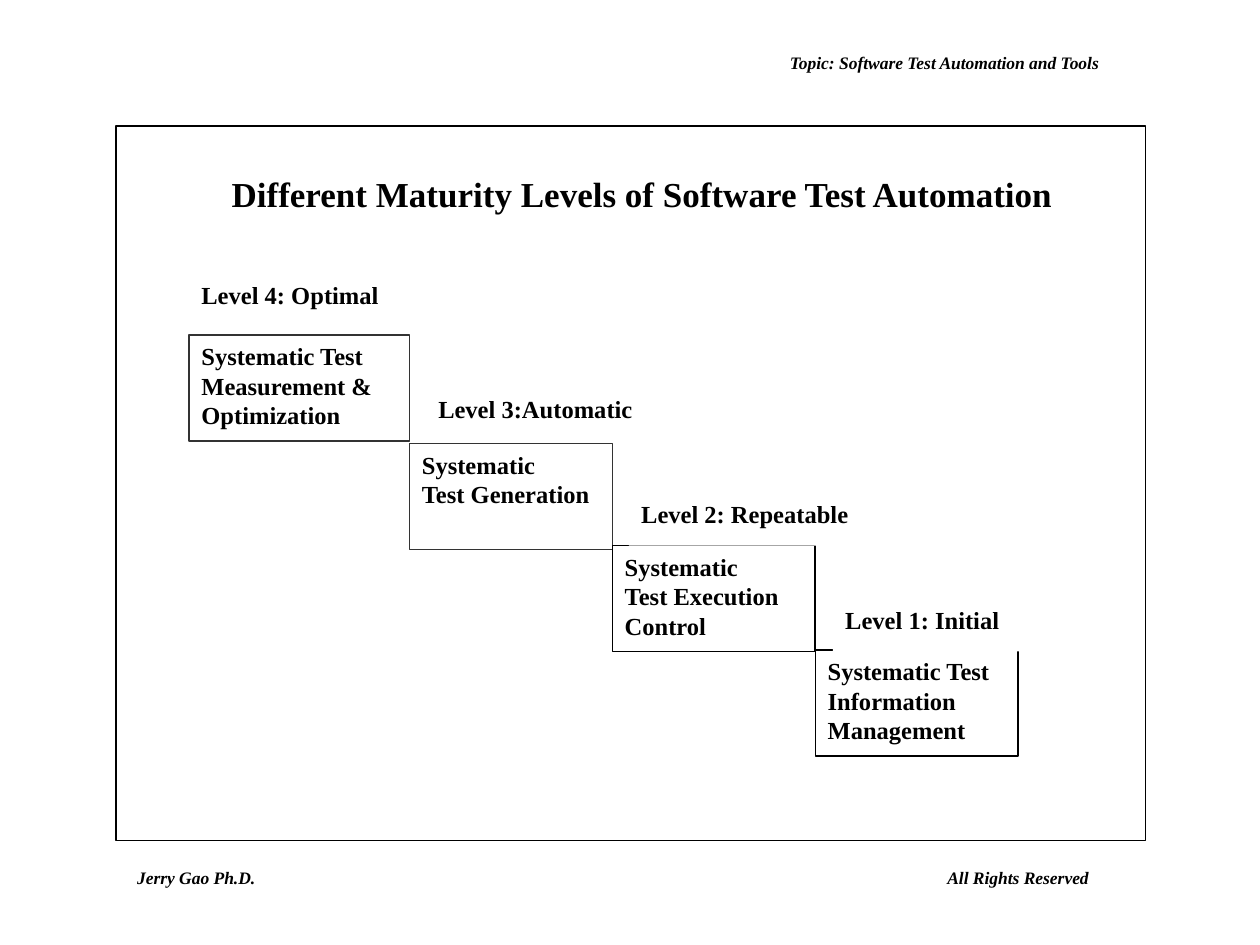
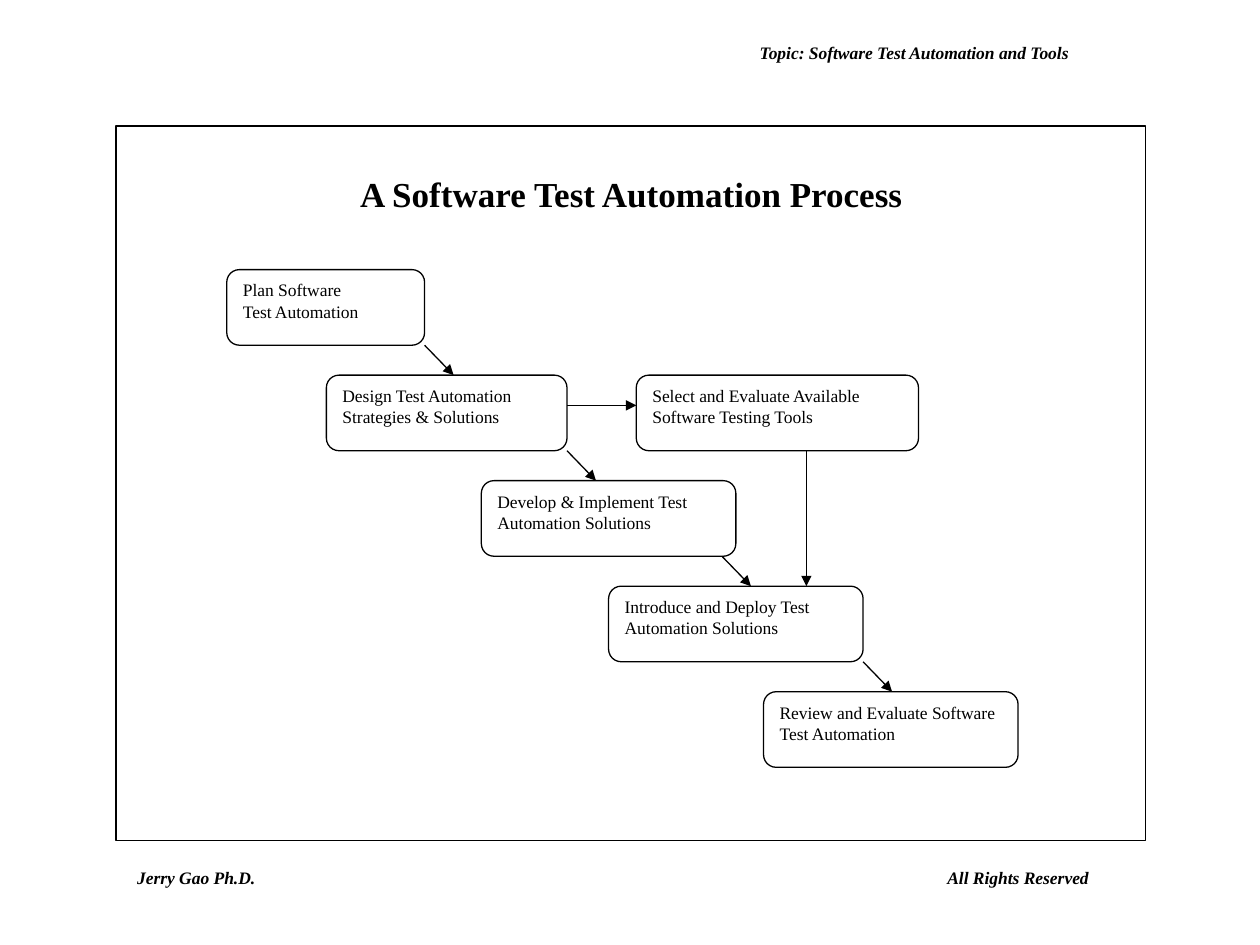
from dataclasses import dataclass

from lxml import etree
from pptx import Presentation
from pptx.dml.color import RGBColor
from pptx.enum.shapes import MSO_CONNECTOR, MSO_SHAPE
from pptx.enum.text import MSO_ANCHOR, MSO_AUTO_SIZE, PP_ALIGN
from pptx.oxml.ns import qn
from pptx.util import Inches, Pt

RECTANGLE = MSO_SHAPE.RECTANGLE
ROUNDED_STEP = MSO_SHAPE.FLOWCHART_ALTERNATE_PROCESS
STRAIGHT = MSO_CONNECTOR.STRAIGHT
TOP, MIDDLE = MSO_ANCHOR.TOP, MSO_ANCHOR.MIDDLE
LEFT, CENTER = PP_ALIGN.LEFT, PP_ALIGN.CENTER
FIT_SHAPE = MSO_AUTO_SIZE.SHAPE_TO_FIT_TEXT


@dataclass(frozen=True)
class Theme:
    """Colours, font and type sizes of the deck."""
    black: str = "000000"
    gray: str = "333333"
    white: str = "FFFFFF"
    font: str = "Times New Roman"
    title: int = 20
    level: int = 14
    small: int = 10
    line: float = 0.75


THEME = Theme()

TOPIC = "Topic: Software Test Automation and Tools"
# text, left, width
FOOTERS = [("Jerry Gao Ph.D.", 0.99, 1.14), ("All Rights Reserved", 7.42, 1.32)]
FOOTER_TOP = 6.83
FRAME = (0.92, 1, 8.17, 5.67)

MATURITY_TITLE = "Different Maturity Levels of Software Test Automation"
# label, label left offset, top and width; box text, top, width, outline
LEVELS = [
    ("Level 4: Optimal", 0, 2.17, 1.88,
     ["Systematic Test Measurement & Optimization"], 2.66, 1.75, THEME.gray),
    ("Level 3:Automatic", 0.13, 3.08, 1.75,
     ["Systematic", "Test Generation"], 3.52, 1.61, THEME.gray),
    ("Level 2: Repeatable", 0.13, 3.91, 1.88,
     ["Systematic", "Test Execution", "Control"], 4.33, 1.61, THEME.black),
    ("Level 1: Initial", 0.14, 4.75, 1.48,
     ["Systematic Test Information", "Management"], 5.16, 1.61, THEME.black),
]
STAIR_LEFT, LEVEL_HEIGHT, LABEL_HEIGHT = 1.5, 0.84, 0.42

PROCESS_TITLE = "A Software Test Automation Process"
# text, left, width, distance of the outgoing arrow from the right edge
STEPS = [
    (["Plan Software", "Test Automation"], 1.8, 1.57, 0),
    (["Design Test Automation Strategies & Solutions"], 2.59, 1.91, 0),
    (["Develop & Implement Test Automation Solutions"], 3.82, 2.02, 0.11),
    (["Introduce and Deploy Test Automation Solutions"], 4.83, 2.02, 0),
    (["Review and Evaluate Software Test Automation"], 6.06, 2.02, 0),
]
TOOLS = ["Select and Evaluate Available Software Testing Tools"]
TOOLS_LEFT, TOOLS_WIDTH, TOOLS_ROW, DEPLOY_ROW = 5.05, 2.24, 1, 3
FIRST_STEP_TOP, STEP_PITCH, STEP_HEIGHT = 2.14, 0.8375, 0.6
ARROW_RUN, TOOLS_ARROW_LEFT, TOOLS_ARROW_DROP = 0.23, 6.4, 0.24


def color(code):
    """Turn a hex code into a colour."""
    return RGBColor.from_string(code)


def write(shape, lines, size, bold=False, italic=False, align=LEFT, anchor=TOP):
    """Put lines of text into a shape, one paragraph each."""
    frame = shape.text_frame
    frame.word_wrap = True
    frame.vertical_anchor = anchor
    frame.text = "\n".join(lines)
    for paragraph in frame.paragraphs:
        paragraph.alignment = align
        font = paragraph.font
        font.name, font.size = THEME.font, Pt(size)
        font.bold, font.italic = bold, italic
        font.color.rgb = color(THEME.black)


def add_box(shapes, preset, place, fill=None, outline=None):
    """Add a flat shape with an optional fill and outline."""
    box = shapes.add_shape(preset, *map(Inches, place))
    box.shadow.inherit = False
    if fill:
        box.fill.solid()
        box.fill.fore_color.rgb = color(fill)
    else:
        box.fill.background()
    if outline:
        box.line.color.rgb = color(outline)
        box.line.width = Pt(THEME.line)
    else:
        box.line.fill.background()
    return box


def add_line_of_text(slide, text, place, size, italic=False):
    """Add a bold, unwrapped line of text."""
    caption = slide.shapes.add_textbox(*map(Inches, place))
    write(caption, [text], size, bold=True, italic=italic)
    caption.text_frame.word_wrap = False
    caption.text_frame.auto_size = FIT_SHAPE


def add_arrow(shapes, start, end):
    """Add a straight arrow with a triangle at its end."""
    arrow = shapes.add_connector(STRAIGHT, *map(Inches, (*start, *end)))
    arrow.line.color.rgb = color(THEME.black)
    arrow.line.width = Pt(THEME.line)
    etree.SubElement(arrow.line._get_or_add_ln(), qn("a:tailEnd"), type="triangle")
    etree.SubElement(arrow._element.spPr, qn("a:effectLst"))


def add_page(deck, title, title_left, title_width, topic_left, topic_top):
    """Add a slide with the shared frame, topic, footers and title."""
    slide = deck.slides.add_slide(deck.slide_layouts[6])
    add_box(slide.shapes, RECTANGLE, FRAME, outline=THEME.black)
    for text, left, width in FOOTERS:
        add_line_of_text(slide, text, (left, FOOTER_TOP, width, 0.27),
                         THEME.small, italic=True)
    topic = slide.shapes.add_textbox(
        *map(Inches, (topic_left, topic_top, 3.67, 0.33)))
    write(topic, [TOPIC], THEME.small, bold=True, italic=True,
          align=CENTER, anchor=MIDDLE)
    add_line_of_text(slide, title, (title_left, 1.32, title_width, 0.44), THEME.title)
    return slide


def draw_levels(slide):
    """Draw the descending stair of levels, then a label over each."""
    left, labels = STAIR_LEFT, []
    for label, offset, label_top, label_width, lines, top, width, outline in LEVELS:
        box = add_box(slide.shapes, RECTANGLE, (left, top, width, LEVEL_HEIGHT),
                      THEME.white, outline)
        write(box, lines, THEME.level, bold=True)
        labels.append((label, (left + offset, label_top, label_width, LABEL_HEIGHT)))
        left += width
    for label, place in labels:
        heading = add_box(slide.shapes, RECTANGLE, place, THEME.white)
        write(heading, [label], THEME.level, bold=True)


def step_top(row):
    """Give the top of a row of process steps."""
    return FIRST_STEP_TOP + row * STEP_PITCH


def draw_process(slide):
    """Draw the grouped steps and the arrows between them."""
    shapes = slide.shapes.add_group_shape().shapes
    boxes = [(lines, left, width, row)
             for row, (lines, left, width, _) in enumerate(STEPS)]
    boxes.append((TOOLS, TOOLS_LEFT, TOOLS_WIDTH, TOOLS_ROW))
    for lines, left, width, row in boxes:
        step = add_box(shapes, ROUNDED_STEP, (left, step_top(row), width, STEP_HEIGHT),
                       THEME.white, THEME.black)
        write(step, lines, THEME.small)

    for row, (_, left, width, inset) in enumerate(STEPS[:-1]):
        start = left + width - inset
        add_arrow(shapes, (start, step_top(row) + STEP_HEIGHT),
                  (start + ARROW_RUN, step_top(row + 1)))
    add_arrow(shapes, (TOOLS_ARROW_LEFT, step_top(TOOLS_ROW) + STEP_HEIGHT),
              (TOOLS_ARROW_LEFT, step_top(DEPLOY_ROW)))
    _, left, width, _ = STEPS[TOOLS_ROW]
    across = step_top(TOOLS_ROW) + TOOLS_ARROW_DROP
    add_arrow(shapes, (left + width, across), (TOOLS_LEFT, across))


def main():
    """Build and save the deck."""
    deck = Presentation()
    deck.slide_width, deck.slide_height = Inches(10), Inches(7.5)
    draw_levels(add_page(deck, MATURITY_TITLE, 1.74, 6.77, 5.66, 0.33))
    draw_process(add_page(deck, PROCESS_TITLE, 2.76, 4.57, 5.42, 0.25))
    deck.save("out.pptx")


main()
